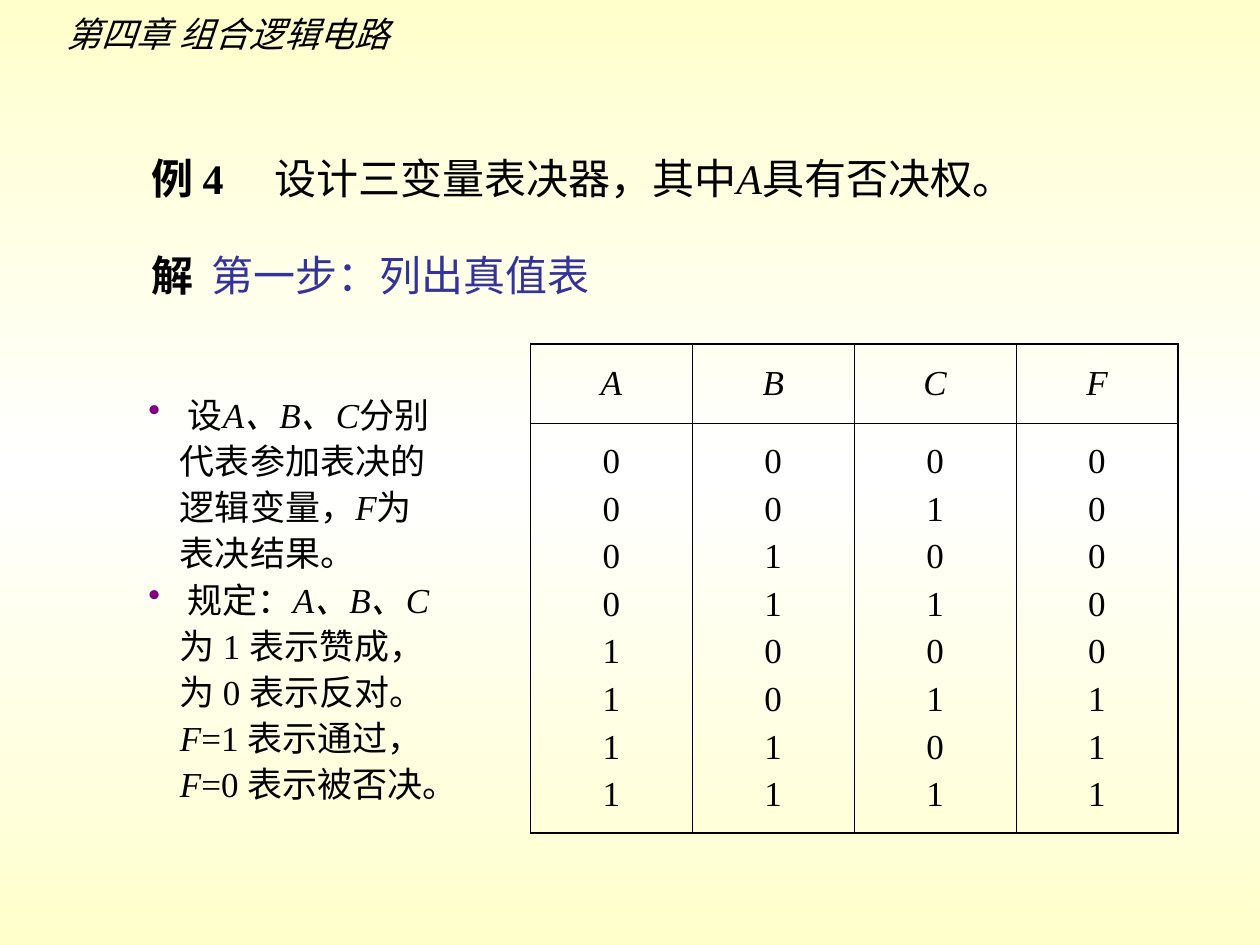
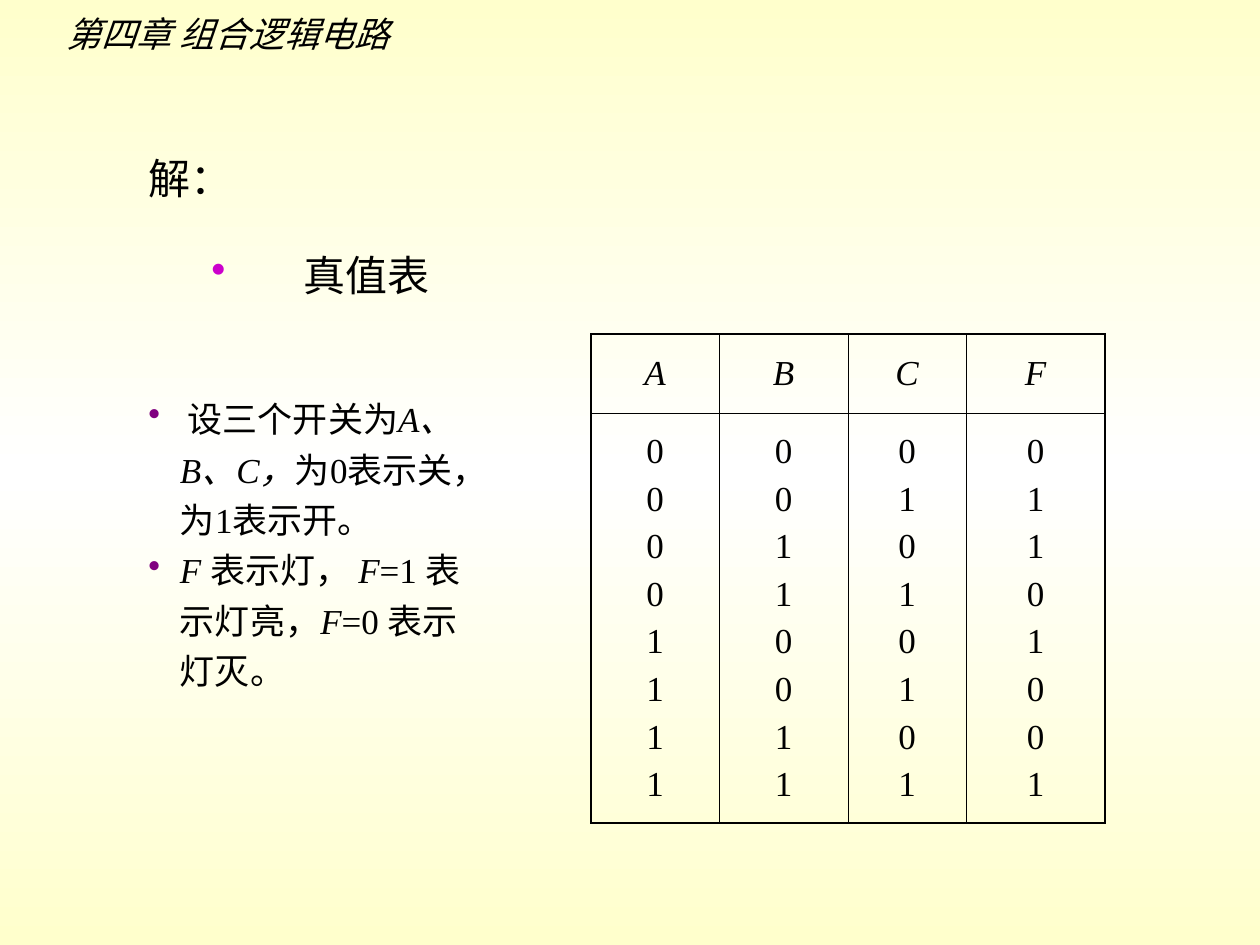
from copy import deepcopy
from itertools import product

from lxml import etree
from pptx import Presentation
from pptx import util as u
from pptx.dml.color import RGBColor
from pptx.enum import text
from pptx.oxml import ns

CREAM = RGBColor(0xFF, 0xFF, 0xCC)
WHITE = RGBColor(0xFF, 0xFF, 0xFF)
BLACK = RGBColor(0x00, 0x00, 0x00)
INDIGO = RGBColor(0x33, 0x33, 0x99)
PURPLE = RGBColor(0x80, 0x00, 0x80)
MAGENTA = RGBColor(0xCC, 0x00, 0xCC)
LATIN = "Times New Roman"
CJK = "Noto Sans CJK SC"
COLUMNS, ROWS = 100, 75
THICK, THIN = 1.08, 0.45


def sub(parent, tag, **attrs):
    return etree.SubElement(parent, ns.qn(tag), {k: str(v) for k, v in attrs.items()})


def write(p, words, size=20, color=BLACK, font=LATIN, bold=False, italic=False):
    for i, part in enumerate(words.split("*")):
        if not part:
            continue
        r = p.add_run()
        r.text = part
        f = r.font
        f.size, f.name, f.bold = u.Pt(size), font, bold
        f.italic = italic or i % 2 == 1
        f.color.rgb = color
        sub(r.font._element, "a:ea", typeface=CJK)


class Deck:
    def __init__(self):
        self.prs = Presentation()
        self.prs.slide_width, self.prs.slide_height = u.Inches(10), u.Inches(7.5)
        self.col = self.prs.slide_width / COLUMNS
        self.row = self.prs.slide_height / ROWS
        self.s = None
        self.paint_background()

    def paint_background(self):
        master = self.prs.slide_master
        fill = master.background.fill
        fill.gradient()
        fill.gradient_angle = 90
        first, last = fill.gradient_stops
        first.color.rgb = last.color.rgb = CREAM
        first.position, last.position = 0, 1
        stops = master.element.find(".//" + ns.qn("a:gsLst"))
        stops.insert(1, deepcopy(stops[0]))
        middle = fill.gradient_stops[1]
        middle.color.rgb, middle.position = WHITE, 0.5

    def at(self, left, top, width, height):
        return [u.Emu(round(n * unit)) for n, unit in
                zip((left, top, width, height), (self.col, self.row) * 2)]

    def slide(self):
        self.s = self.prs.slides.add_slide(self.prs.slide_layouts[6])
        tf = self.box(4.3, 0.5, 28.3, 4.4, wrap=False)
        write(tf.paragraphs[0], "第四章 组合逻辑电路", font=CJK, italic=True)

    def box(self, *place, wrap=True):
        tf = self.s.shapes.add_textbox(*self.at(*place)).text_frame
        tf.word_wrap = wrap
        tf.auto_size = text.MSO_AUTO_SIZE.SHAPE_TO_FIT_TEXT
        return tf

    def paragraph(self, tf, spacing=None, before=0, margin=0, indent=0,
                  bullet=None, tab=None, align=None):
        p = tf.paragraphs[0]
        if p.runs:
            p = tf.add_paragraph()
            p.space_before = u.Pt(before)
        p.alignment = align
        if spacing:
            p.line_spacing = spacing
        pPr = p._p.get_or_add_pPr()
        pPr.set("marL", str(round(margin * self.col)))
        pPr.set("indent", str(round(indent * self.col)))
        if bullet:
            sub(sub(pPr, "a:buClr"), "a:srgbClr", val=bullet)
            sub(pPr, "a:buChar", char="•")
        if tab:
            sub(sub(pPr, "a:tabLst"), "a:tab", pos=round(tab * self.col), algn="l")
        return p

    def heading(self, tf, words, lead="", color=BLACK, **layout):
        p = self.paragraph(tf, spacing=1.4, before=15,
                           align=text.PP_ALIGN.JUSTIFY, **layout)
        write(p, lead, size=24, bold=True)
        write(p, words, size=24, color=color)

    def bullets(self, place, spacing, items):
        tf = self.box(*place)
        for item in items:
            p = self.paragraph(tf, spacing=spacing, margin=5, indent=-2.5, bullet=PURPLE)
            write(p, item)

    def cell(self, c, lines, edges, italic):
        c.vertical_anchor = text.MSO_ANCHOR.MIDDLE
        for line in lines:
            p = self.paragraph(c.text_frame, before=5, align=text.PP_ALIGN.CENTER)
            write(p, line, italic=italic)
        tcPr = c._tc.get_or_add_tcPr()
        for side, outer in zip("LRTB", edges):
            ln = sub(tcPr, "a:ln" + side, w=u.Pt(THICK if outer else THIN))
            sub(sub(ln, "a:solidFill"), "a:srgbClr", val=BLACK)
        c.fill.background()

    def truth_table(self, left, top, widths, output):
        names = "ABCF"
        heights = (6.3, 32.5)
        frame = self.s.shapes.add_table(
            2, len(names), *self.at(left, top, sum(widths), sum(heights)))
        table = frame.table
        table.first_row = table.horz_banding = False
        for row, height in zip(table.rows, heights):
            row.height = u.Emu(round(height * self.row))
        cases = [(*bits, output(*bits)) for bits in product((0, 1), repeat=3)]
        values = zip(*cases)
        last = len(names) - 1
        for j, (name, width, column) in enumerate(zip(names, widths, values)):
            table.columns[j].width = u.Emu(round(width * self.col))
            sides = (j == 0, j == last)
            self.cell(table.cell(0, j), [name], (*sides, True, False), italic=True)
            self.cell(table.cell(1, j), [str(int(v)) for v in column],
                      (*sides, False, True), italic=False)


HEADING = (5.8, 10, 87.5, 14.3)


def voting_slide(deck):
    deck.slide()
    tf = deck.box(*HEADING)
    deck.heading(tf, "设计三变量表决器，其中*A*具有否决权。",
                 lead="例 4\t", indent=5.2, tab=14.1)
    deck.heading(tf, "第一步：列出真值表", lead="解\t", color=INDIGO,
                 indent=5.2, tab=13.1)
    deck.bullets((8.3, 30.4, 27.6, 34), 1.1, [
        " 设*A、B、C*分别代表参加表决的逻辑变量，*F*为表决结果。",
        " 规定：*A、B、C*为 1 表示赞成， 为 0 表示反对。*F*=1 表示通过，*F*=0 表示被否决。",
    ])
    deck.truth_table(42.1, 27.3, [12.85] * 4, lambda a, b, c: a and (b or c))


def lamp_slide(deck):
    deck.slide()
    tf = deck.box(*HEADING)
    deck.heading(tf, "解：", margin=10, indent=-5)
    deck.heading(tf, "真值表", margin=17.3, indent=-7.3, bullet=MAGENTA)
    deck.bullets((8.3, 30.4, 31.5, 25), 1.2, [
        " 设三个开关为*A、B、C，*为0表示关，为1表示开。",
        "*F *表示灯， *F*=1 表示灯亮，*F*=0 表示灯灭。",
    ])
    deck.truth_table(46.9, 26.5, [10.2, 10.2, 9.4, 11], lambda a, b, c: a ^ b ^ c)


def main():
    deck = Deck()
    voting_slide(deck)
    lamp_slide(deck)
    deck.prs.save("out.pptx")


if __name__ == "__main__":
    main()
